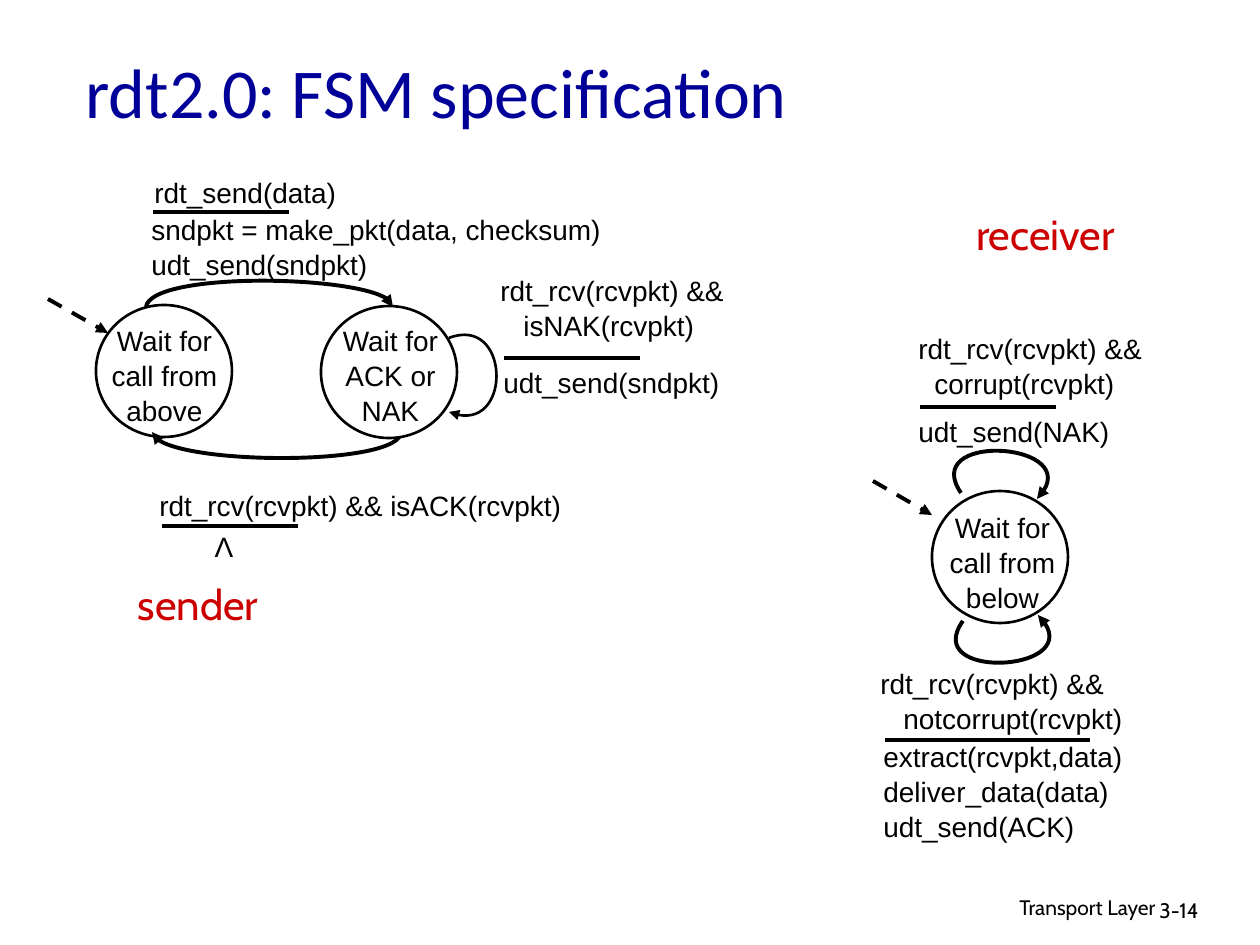
from lxml.etree import SubElement
from pptx import Presentation
from pptx.dml.color import RGBColor
from pptx.enum.dml import MSO_LINE
from pptx.enum.shapes import MSO_CONNECTOR, MSO_SHAPE
from pptx.enum.text import MSO_ANCHOR, PP_ALIGN
from pptx.oxml.ns import qn
from pptx.util import Pt

PX = 914400 / 126
BLACK, WHITE, NAVY, RED = "000000", "FFFFFF", "000099", "CC0000"
LEFT, CENTER, RIGHT = PP_ALIGN.LEFT, PP_ALIGN.CENTER, PP_ALIGN.RIGHT


def add_text(box, lines, align=LEFT, size=16, font="Arial", color=BLACK,
             spacing=1.04, indent=0, wrap=True):
    """Add a text box; every line after the first is indented by indent px."""
    frame = slide.shapes.add_textbox(*[round(v * PX) for v in box]).text_frame
    frame.word_wrap = wrap
    for i, line in enumerate(lines):
        paragraph = frame.add_paragraph() if i else frame.paragraphs[0]
        paragraph.text = line
        if i and indent:
            paragraph._p.get_or_add_pPr().set("marL", str(round(indent * PX)))
        paragraph.alignment = align
        paragraph.line_spacing = spacing
        paragraph.font.size = Pt(size)
        paragraph.font.name = font
        paragraph.font.color.rgb = RGBColor.from_string(color)


def style_stroke(shape, width=2.25, arrow=False, dashed=False):
    shape.line.color.rgb = RGBColor.from_string(BLACK)
    shape.line.width = Pt(width)
    if dashed:
        shape.line.dash_style = MSO_LINE.DASH
    if arrow:
        SubElement(shape.line._ln, qn("a:tailEnd"), type="triangle")
    properties = shape._element.spPr
    if properties.find(qn("a:effectLst")) is None:
        SubElement(properties, qn("a:effectLst"))


presentation = Presentation()
presentation.slide_width = round(1260 * PX)
presentation.slide_height = round(945 * PX)
slide = presentation.slides.add_slide(presentation.slide_layouts[5])

# Title
title = slide.shapes.title
title.left, title.top, title.width, title.height = [
    round(v * PX) for v in (73, 19, 1071, 142)]
title.text_frame.text = "rdt2.0: FSM specification"
title.text_frame.vertical_anchor = MSO_ANCHOR.MIDDLE
heading = title.text_frame.paragraphs[0]
heading.alignment = LEFT
heading.font.size = Pt(40)
heading.font.name = "Calibri"
heading.font.color.rgb = RGBColor.from_string(NAVY)

# States, each with the transitions layered just above it
states = [
    ("Wait for call from above", (96, 305), (82, 316, 165, 84), [
        (2.25, (146, 307), (151, 272), (393, 275), (393, 307)),
        (2.25, (401, 432), (401, 465), (158, 466), (152, 432)),
        (1.5, (449, 338), (509, 315), (513, 438), (449, 412))]),
    ("Wait for ACK or NAK", (321, 306), (316, 316, 149, 84), [
        (2.25, (961, 493), (920, 433), (1092, 442), (1037, 499))]),
    ("Wait for call from below", (932, 491), (920, 503, 165, 84), [
        (2.25, (963, 621), (921, 680), (1095, 672), (1038, 615))]),
]
for label, (left, top), label_box, transitions in states:
    state = slide.shapes.add_shape(
        MSO_SHAPE.OVAL, *[round(v * PX) for v in (left, top, 136, 132)])
    state.shadow.inherit = False
    state.fill.solid()
    state.fill.fore_color.rgb = RGBColor.from_string(WHITE)
    style_stroke(state, 1.5)
    add_text(label_box, [label], CENTER)

    for width, start, *controls in transitions:
        builder = slide.shapes.build_freeform(*start, scale=PX)
        builder.add_line_segments(controls, close=False)
        transition = builder.convert_to_shape()
        transition.shadow.inherit = False
        transition.fill.background()
        style_stroke(transition, width, arrow=True)
        # Turn the three straight segments into one Bezier segment
        outline = transition._element.xpath(".//a:path")[0]
        bezier = SubElement(outline, qn("a:cubicBezTo"))
        for segment in outline.findall(qn("a:lnTo")):
            bezier.append(segment[0])
            outline.remove(segment)

# Rules between event and action, then the initial-state arrows
strokes = [
    (153, 212, 289, 212, False),
    (162, 526, 298, 526, False),
    (504, 358, 640, 358, False),
    (920, 407, 1056, 407, False),
    (885, 740, 1090, 740, False),
    (48, 299, 108, 333, True),
    (873, 481, 932, 515, True),
]
for *ends, initial in strokes:
    stroke = slide.shapes.add_connector(
        MSO_CONNECTOR.STRAIGHT, *[round(v * PX) for v in ends])
    style_stroke(stroke, arrow=initial, dashed=initial)

# Events and actions
captions = [
    ((142, 168, 311, 59), ["rdt_send(data)"], 0),
    ((139, 205, 501, 55),
     ["sndpkt = make_pkt(data, checksum)", "udt_send(sndpkt)"], 0),
    ((147, 481, 489, 39), ["rdt_rcv(rcvpkt) && isACK(rcvpkt)"], 0),
    ((488, 266, 287, 87), ["rdt_rcv(rcvpkt) &&", "isNAK(rcvpkt)"], 23),
    ((491, 358, 243, 55), ["udt_send(sndpkt)"], 0),
    ((906, 324, 265, 43), ["rdt_rcv(rcvpkt) &&", "corrupt(rcvpkt)"], 16),
    ((906, 407, 252, 35), ["udt_send(NAK)"], 0),
    ((868, 659, 297, 97), ["rdt_rcv(rcvpkt) &&", "notcorrupt(rcvpkt)"], 23),
    ((871, 732, 295, 86),
     ["extract(rcvpkt,data)", "deliver_data(data)", "udt_send(ACK)"], 0),
]
for box, lines, indent in captions:
    add_text(box, lines, indent=indent)
add_text((202, 522, 44, 47), ["Λ"], CENTER, wrap=False)

# Roles and footer
add_text((123, 572, 150, 63), ["sender"], CENTER, 24, "Cabin", RED, 1, wrap=False)
add_text((960, 202, 171, 63), ["receiver"], CENTER, 24, "Cabin", RED, 1, wrap=False)
add_text((769, 888, 399, 39), ["Transport Layer"], RIGHT, 12, "Cabin", spacing=1)
add_text((1147, 891, 93, 38), ["3-14"], LEFT, 12, "Cabin", spacing=1)

presentation.save("out.pptx")
